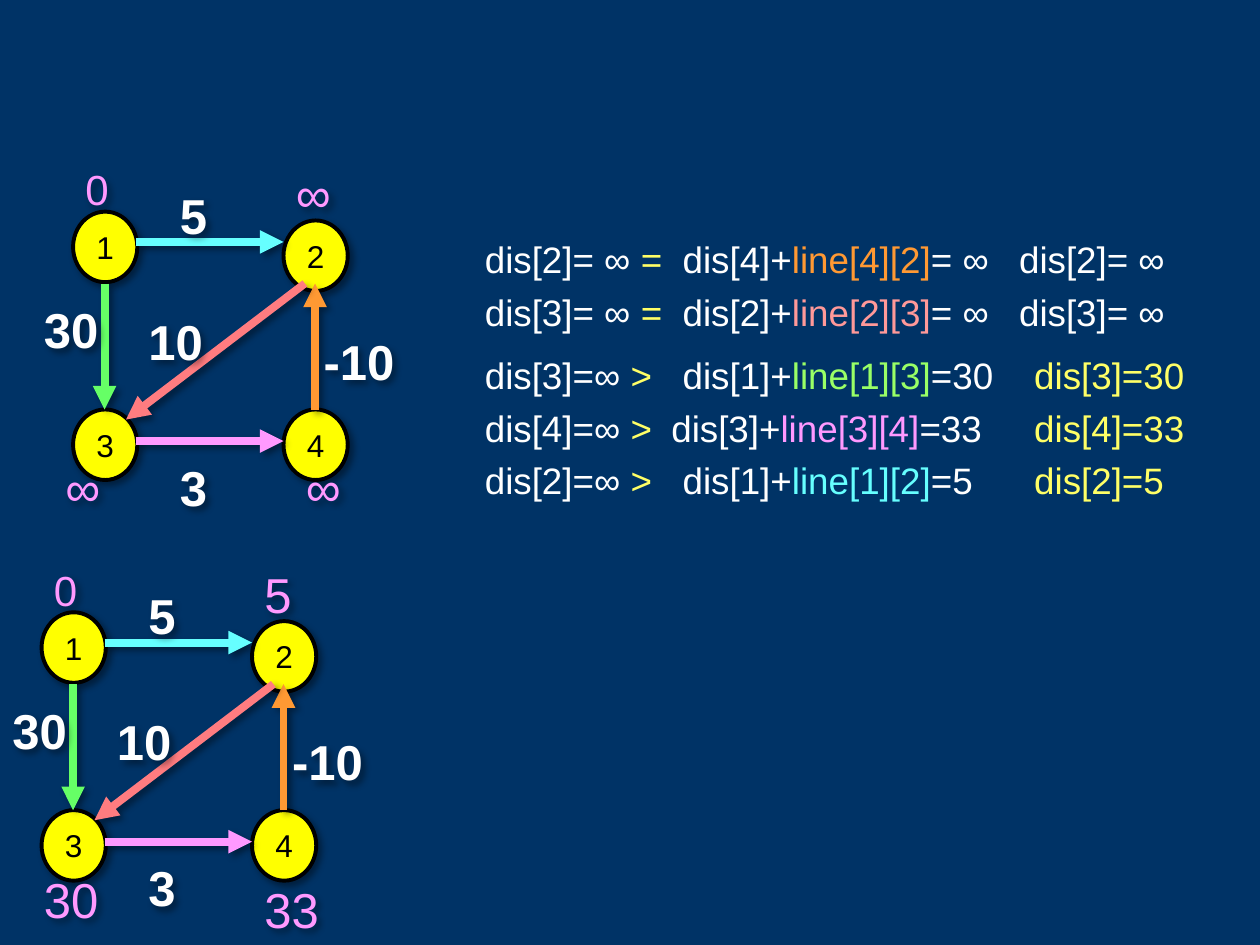
import pptx
import pptx.dml.color
import pptx.enum.shapes
import pptx.enum.text
import pptx.oxml
import pptx.oxml.ns
import pptx.util
from pptx.util import Inches

WHITE, BLACK, YELLOW, PINK = "FFFFFF", "000000", "FFFF00", "FF99FF"
RESULT_YELLOW = "FFFF66"
NODE_WIDTH, NODE_HEIGHT = 0.51, 0.56
NODES = [("1", 0.58, 1.68), ("2", 2.25, 1.75), ("3", 0.58, 3.25), ("4", 2.25, 3.25)]
EDGES = [  # start, end, colour
    ((0.83, 2.25), (0.83, 3.25), "66FF66"),
    ((1.08, 3.5), (2.25, 3.5), PINK),
    ((2.5, 3.25), (2.5, 2.25), "FF9933"),
    ((2.42, 2.25), (1, 3.33), "FF7C80"),
    ((1.08, 1.92), (2.25, 1.92), "66FFFF"),
]
WEIGHTS = [("5", 1.33, 1.42), ("30", 0.25, 2.33), ("3", 1.33, 3.58),
           ("-10", 2.47, 2.58), ("10", 1.08, 2.42)]

# Each graph: horizontal and vertical offset, then its distances (text, left, top, width, size)
GRAPHS = [
    (0, 0, [("0", 0.58, 1.25, 0.5, 24), ("∞", 2.25, 1.25, 0.5, 28),
            ("∞", 2.33, 3.58, 0.5, 28), ("∞", 0.42, 3.58, 0.58, 28)]),
    (-0.25, 3.18, [("0", 0.33, 4.43, 0.5, 24), ("5", 2, 4.43, 0.5, 28),
                   ("33", 2, 6.93, 0.67, 28), ("30", 0.25, 6.85, 0.75, 28)]),
]

# Top, tab stops, old distance, comparison, start distance, edge, edge colour, sum, result, colour
STEPS = [
    (1.83, (1.57, 4.24), "dis[2]= ∞ ", "=", "dis[4]+", "line[4][2]", "FF9933",
     "= ∞", "dis[2]= ∞", WHITE),
    (2.25, (1.57, 4.24), "dis[3]= ∞ ", "=", "dis[2]+", "line[2][3]", "FF9999",
     "= ∞", "dis[3]= ∞", WHITE),
    (2.75, (1.57, 4.36), "dis[3]=∞ ", ">", "dis[1]+", "line[1][3]", "99FF66",
     "=30", "dis[3]=30", RESULT_YELLOW),
    (3.17, (1.48, 4.36), "dis[4]=∞ ", ">", "dis[3]+", "line[3][4]", PINK,
     "=33", "dis[4]=33", RESULT_YELLOW),
    (3.58, (1.57, 4.36), "dis[2]=∞ ", ">", "dis[1]+", "line[1][2]", "66FFFF",
     "=5", "dis[2]=5", RESULT_YELLOW),
]


def rgb(value):
    return pptx.dml.color.RGBColor.from_string(value)


def add_shadow(shape):
    """Append a soft shadow; call after the fill and line are set."""
    shape._element.spPr.append(pptx.oxml.parse_xml(
        f'<a:effectLst {pptx.oxml.ns.nsdecls("a")}>'
        '<a:outerShdw blurRad="50800" dist="38100" dir="2700000" algn="tl" rotWithShape="0">'
        '<a:srgbClr val="000000"><a:alpha val="40000"/></a:srgbClr>'
        '</a:outerShdw></a:effectLst>'))


def format_run(run, size, color, bold=False):
    run.font.name = "Arial"
    run.font.size = pptx.util.Pt(size)
    run.font.bold = bold
    run.font.color.rgb = rgb(color)


def add_node(slide, text, left, top):
    node = slide.shapes.add_shape(
        pptx.enum.shapes.MSO_SHAPE.OVAL, Inches(left), Inches(top),
        Inches(NODE_WIDTH), Inches(NODE_HEIGHT))
    node.fill.solid()
    node.fill.fore_color.rgb = rgb(YELLOW)
    node.line.color.rgb = rgb(BLACK)
    node.line.width = pptx.util.Pt(2.25)
    add_shadow(node)
    node.text_frame.text = text
    node.text_frame.vertical_anchor = pptx.enum.text.MSO_ANCHOR.MIDDLE
    paragraph = node.text_frame.paragraphs[0]
    paragraph.alignment = pptx.enum.text.PP_ALIGN.CENTER
    format_run(paragraph.runs[0], 18, BLACK)


def add_edge(slide, start, end, color):
    edge = slide.shapes.add_connector(
        pptx.enum.shapes.MSO_CONNECTOR.STRAIGHT,
        *(Inches(value) for value in (*start, *end)))
    edge.line.color.rgb = rgb(color)
    edge.line.width = pptx.util.Pt(4.5)
    edge.line._get_or_add_ln().append(pptx.oxml.parse_xml(
        f'<a:tailEnd {pptx.oxml.ns.nsdecls("a")} type="triangle"/>'))
    add_shadow(edge)


def add_text_box(slide, left, top, width, height):
    box = slide.shapes.add_textbox(Inches(left), Inches(top), Inches(width), Inches(height))
    box.text_frame.word_wrap = True
    return box


def add_label(slide, text, left, top, width, size, color, bold=False):
    box = add_text_box(slide, left, top, width, 0.57 if size == 28 else 0.5)
    add_shadow(box)
    box.text_frame.text = text
    format_run(box.text_frame.paragraphs[0].runs[0], size, color, bold)


def add_graph(slide, dx, dy, distances):
    for text, left, top in NODES:
        add_node(slide, text, left + dx, top + dy)
    for (x1, y1), (x2, y2), color in EDGES:
        add_edge(slide, (x1 + dx, y1 + dy), (x2 + dx, y2 + dy), color)
    for text, left, top in WEIGHTS:
        add_label(slide, text, left + dx, top + dy, 0.92, 28, WHITE, bold=True)
    for text, left, top, width, size in distances:
        add_label(slide, text, left, top, width, size, PINK)


def add_step(slide, top, tab_stops, old, sign, start, edge, edge_color, total, result,
             result_color):
    """Write one relaxation step, its columns aligned by tab stops."""
    paragraph = add_text_box(slide, 3.75, top, 6, 0.45).text_frame.paragraphs[0]
    tabs = "".join(f'<a:tab pos="{Inches(stop)}" algn="l"/>' for stop in tab_stops)
    paragraph._p.get_or_add_pPr().append(pptx.oxml.parse_xml(
        f'<a:tabLst {pptx.oxml.ns.nsdecls("a")}>{tabs}</a:tabLst>'))
    for text, color in [(old, WHITE), (sign, RESULT_YELLOW), ("\t" + start, WHITE),
                        (edge, edge_color), (total + "\t", WHITE), (result, result_color)]:
        run = paragraph.add_run()
        run.text = text
        format_run(run, 21, color)


def main():
    presentation = pptx.Presentation()
    presentation.slide_width, presentation.slide_height = Inches(10), Inches(7.5)
    slide = presentation.slides.add_slide(presentation.slide_layouts[6])
    slide.background.fill.solid()
    slide.background.fill.fore_color.rgb = rgb("003366")
    for graph in GRAPHS:
        add_graph(slide, *graph)
    for step in STEPS:
        add_step(slide, *step)
    presentation.save("out.pptx")


if __name__ == "__main__":
    main()
